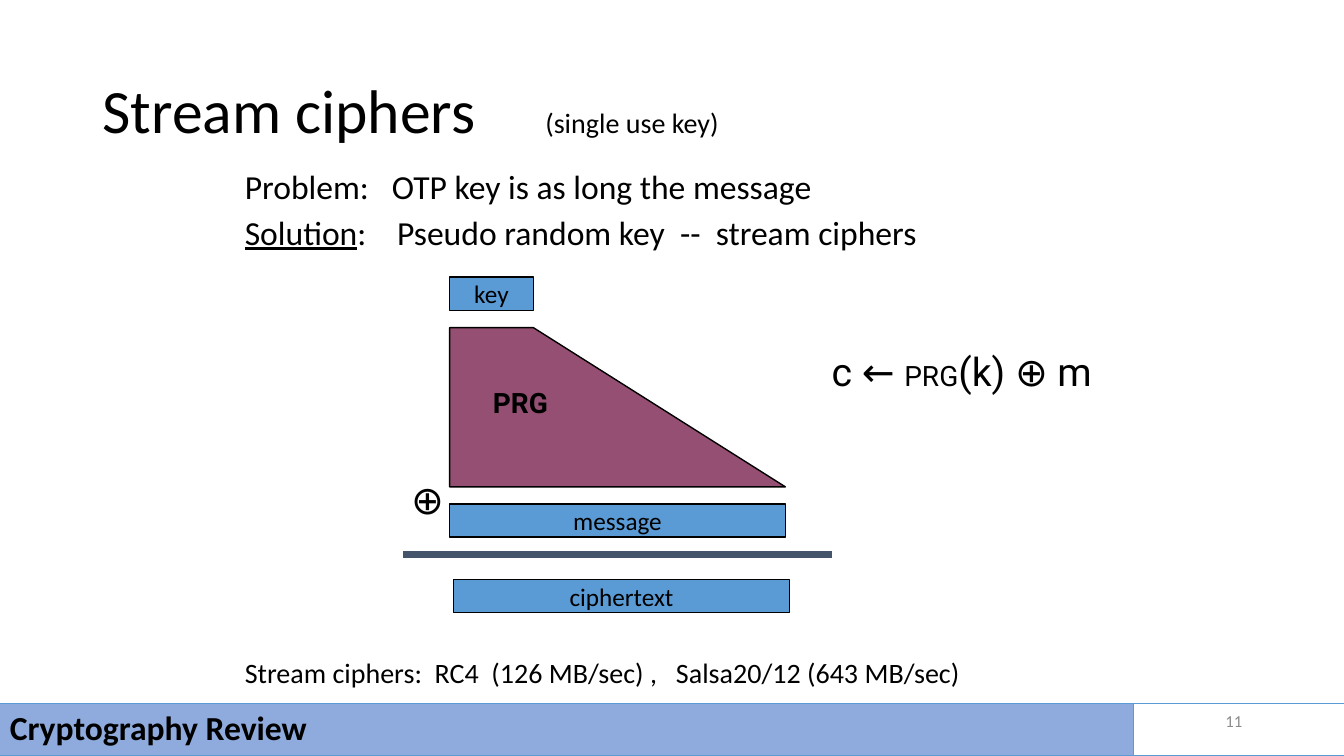
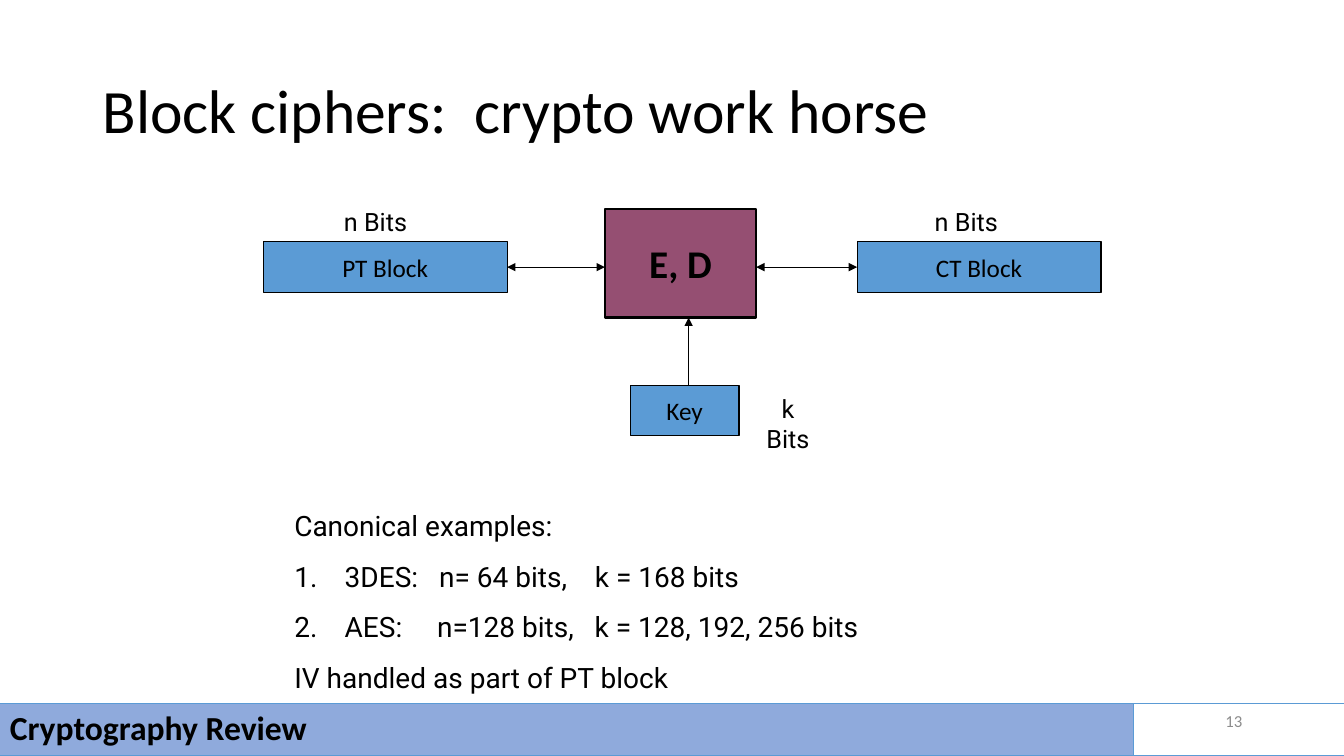
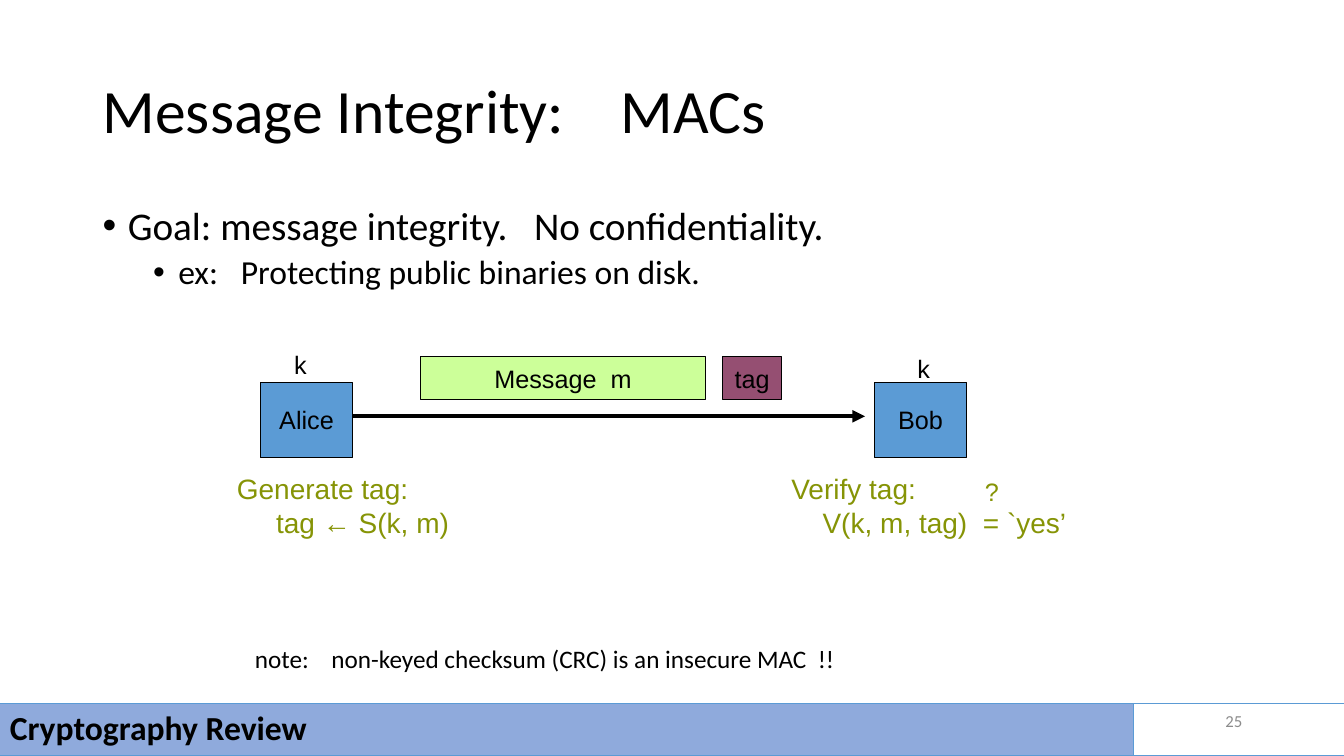
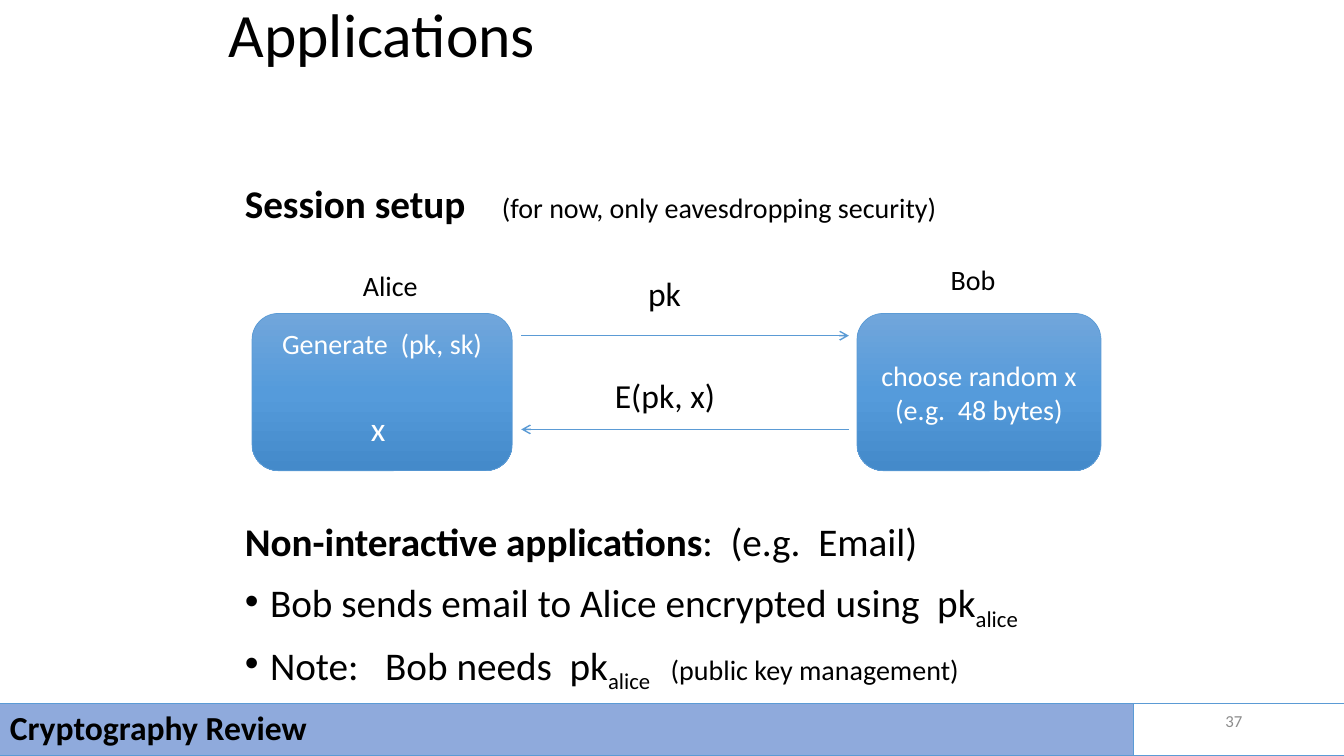
from copy import deepcopy

from lxml.etree import SubElement
from pptx import Presentation
from pptx.dml.color import RGBColor
from pptx.enum.shapes import MSO_CONNECTOR, MSO_SHAPE
from pptx.enum.text import MSO_ANCHOR, MSO_AUTO_SIZE, PP_ALIGN
from pptx.oxml.ns import qn
from pptx.util import Pt

PX = 9144  # EMU in one px, 100 px to the inch
BLACK, WHITE, GREY, SLATE = "000000", "FFFFFF", "8C8C8C", "44546A"
BLUE, PLUM, LIME, OLIVE, BAND = "5B9BD5", "954F72", "CCFF99", "869406", "8FAADC"
SHADES = [(0, "71A6DB"), (0.5, "559BDB"), (1, "448ACA")]
CENTER, RIGHT = PP_ALIGN.CENTER, PP_ALIGN.RIGHT
TITLE_AREA = (92, 40, 1150, 145)
FOOTER = "Cryptography Review"

# Text: one line or a list of lines. A line is a string, a list of spans, or a
# dict with "spans" and paragraph settings. A span is a string or (string, font).
SUBSCRIPT = {"baseline": -25000}
BULLET = {"left": 25, "hang": 25, "bullet": "•"}
NUMBER = {"left": 50, "hang": 50, "spacing": 1.5, "number": "arabicPeriod"}
ROBOTO, ARIAL = {"font": "Roboto"}, {"font": "Arial"}
ARIAL_OLIVE = {"font": "Arial", "size": 20, "color": OLIVE}
THIN = {"line": 0.75}
ROUND = {"shape": MSO_SHAPE.ROUNDED_RECTANGLE, "line": 0.5, "line_color": BLUE,
         "size": 20, "color": WHITE}
BOTH_ENDS = {"head": "triangle", "tail": "triangle"}
OPEN_ARROW = {"color": BLUE, "width": 1, "tail": "arrow"}

SLIDES = [
    {
        "number": 11,
        "title": {"spans": ["Stream ciphers\t", ("(single use key)", {"size": 20})],
                  "tabs": [439]},
        "bodies": [
            ([{"spans": ["Problem:\tOTP key is as long the message"], "tabs": [146]},
              {"spans": [("Solution", {"underline": True}),
                         ":\tPseudo random key  --  stream ciphers"], "tabs": [151]}],
             (233, 167, 894, 90), {"size": 24, "spacing": 0.8, "before": 10}),
            ("Stream ciphers:  RC4  (126 MB/sec) ,   Salsa20/12 (643 MB/sec)",
             (233, 645, 894, 44), {"size": 20}),
        ],
        "outlines": [([(446, 325), (446, 483), (779, 483), (529, 325)], PLUM)],
        "boxes": [
            ("key", (446, 275, 83, 33), BLUE, {}),
            ("message", (446, 500, 333, 33), BLUE, {}),
            ("ciphertext", (450, 575, 333, 33), BLUE, {}),
        ],
        "labels": [
            ("PRG", (479, 378, 89, 44), {**ROBOTO, "size": 20, "bold": True}),
            ("⊕", (398, 467, 51, 57), {**ROBOTO, "size": 28, "align": CENTER}),
            ([["c ← ", ("PRG", {"size": 20}), "(k) ⊕ m"]], (815, 340, 291, 57),
             {**ROBOTO, "size": 28}),
        ],
        "lines": [((400, 550), (825, 550), {"color": SLATE, "width": 4.5})],
    },
    {
        "number": 13,
        "title": "Block ciphers:  crypto work horse",
        "bodies": [
            (["Canonical examples:",
              {"spans": ["3DES:   n= 64 bits,    k = 168 bits"], **NUMBER},
              {"spans": ["AES:     n=128 bits,   k = 128, 192, 256 bits"], **NUMBER},
              {"spans": ["IV handled as part of PT block"], "spacing": 1.5}],
             (282, 500, 618, 195), {**ROBOTO, "size": 20}),
        ],
        "boxes": [
            ("E, D", (600, 207, 150, 108), PLUM, {"line": 1.5, "size": 28, "bold": True}),
            ("PT Block", (261, 240, 242, 50), BLUE, THIN),
            ("CT Block", (850, 240, 242, 50), BLUE, THIN),
            ("Key", (625, 382, 108, 50), BLUE, THIN),
        ],
        "labels": [
            ("n Bits", (331, 200, 83, 40), {**ROBOTO, "align": CENTER}),
            ("n Bits", (917, 200, 83, 40), {**ROBOTO, "align": CENTER}),
            ("k Bits", (741, 385, 81, 70), {**ROBOTO, "align": CENTER, "wrap": True}),
        ],
        "lines": [
            ((503, 265), (600, 265), {**BOTH_ENDS, "begin": ("PT Block", 3)}),
            ((750, 265), (850, 265), {**BOTH_ENDS, "end": ("CT Block", 1)}),
            ((683, 382), (683, 315), {"tail": "triangle"}),
        ],
    },
    {
        "number": 25,
        "title": {"spans": ["Message Integrity:\tMACs"], "tabs": [514]},
        "bodies": [
            ([{"spans": ["Goal: message integrity.   No confidentiality."], **BULLET},
              {"spans": [("ex:   Protecting public binaries on disk.", {"size": 24})],
               **BULLET, "left": 75, "before": 5}],
             (92, 200, 1150, 110), {"size": 28, "spacing": 0.9, "before": 10}),
            (["Generate tag:", {"spans": ["tag ← S(k, m)"], "left": 39}],
             (225, 463, 358, 77), ARIAL_OLIVE),
            (["Verify tag:", {"spans": ["V(k, m, tag)  = `yes’"], "left": 31}],
             (775, 463, 310, 77), ARIAL_OLIVE),
            ({"spans": ["note:\tnon-keyed checksum (CRC) is an insecure MAC  !!"],
              "tabs": [76]}, (243, 633, 640, 40), {}),
        ],
        "boxes": [
            ("Alice", (258, 379, 92, 75), BLUE, {**THIN, **ARIAL}),
            ("Bob", (867, 379, 92, 75), BLUE, {**THIN, **ARIAL}),
            ("Message  m", (417, 354, 283, 42), LIME, {**THIN, **ARIAL}),
            ("tag", (717, 354, 58, 42), PLUM, {**THIN, **ARIAL}),
        ],
        "labels": [
            ("k", (282, 342, 33, 40), ARIAL),
            ("k", (900, 346, 33, 40), ARIAL),
            ("?", (967, 468, 34, 40), {**ARIAL, "color": OLIVE}),
        ],
        "lines": [((350, 413), (858, 413), {"width": 3, "tail": "triangle"})],
    },
    {
        "number": 37,
        "title": "Applications",
        "title_area": (217, -25, 900, 125),
        "bodies": [
            ({"spans": [("Session setup\t", {"bold": True}),
                        ("(for now, only eavesdropping security)", {"size": 20})],
              "tabs": [255]}, (233, 178, 900, 60), {"size": 28, "spacing": 0.9}),
            ([[("Non-interactive applications", {"bold": True}), ":  (e.g.  Email)"],
              {"spans": ["Bob sends email to Alice encrypted using  pk",
                         ("alice", SUBSCRIPT)], **BULLET},
              {"spans": ["Note:   Bob needs  pk", ("alice    ", SUBSCRIPT),
                         ("(public key management)", {"size": 20})], **BULLET}],
             (233, 514, 900, 180), {"size": 28, "spacing": 0.9, "before": 10}),
        ],
        "boxes": [
            ("Generate  (pk, sk)", (250, 311, 258, 156), SHADES,
             {**ROUND, "anchor": MSO_ANCHOR.TOP}),
            (["choose random x", "(e.g.  48 bytes)"], (850, 311, 242, 156), SHADES, ROUND),
        ],
        "labels": [
            ("Alice", (350, 261, 78, 44), {"size": 20}),
            ("Bob", (933, 256, 65, 44), {"size": 20}),
            ("pk", (633, 266, 53, 50), {"size": 24}),
            ("E(pk, x)", (600, 367, 120, 50), {"size": 24}),
            ("x", (358, 400, 35, 50), {"size": 24, "color": WHITE}),
        ],
        "lines": [
            ((517, 333), (842, 333), OPEN_ARROW),
            ((842, 426), (517, 426), OPEN_ARROW),
        ],
    },
]


def rgb(value):
    return RGBColor.from_string(value)


def emu(lengths):
    return [length * PX for length in lengths]


def format_run(run, size=18, color=BLACK, font="Calibri", bold=False,
               underline=None, baseline=None):
    run.font.size, run.font.name = Pt(size), font
    run.font.bold, run.font.underline = bold, underline
    run.font.color.rgb = rgb(color)
    if baseline:
        run.font._element.set("baseline", str(baseline))


def format_layout(para, left=0, hang=0, bullet=None, number=None, tabs=()):
    """Set indents, the bullet or number, and tab stops (px from the text edge)."""
    props = para._p.get_or_add_pPr()
    if left:
        props.set("marL", str(left * PX))
        props.set("indent", str(-hang * PX))
    if bullet:
        SubElement(props, qn("a:buFont"), typeface="Arial")
        SubElement(props, qn("a:buChar"), char=bullet)
    if number:
        SubElement(props, qn("a:buAutoNum"), type=number)
    if tabs:
        stops = SubElement(props, qn("a:tabLst"))
        for tab in tabs:
            SubElement(stops, qn("a:tab"), pos=str(tab * PX), algn="l")


def write(frame, lines, wrap=True, anchor=MSO_ANCHOR.TOP, align=None,
          spacing=None, before=0, **font):
    frame.word_wrap, frame.vertical_anchor = wrap, anchor
    for index, line in enumerate(lines if isinstance(lines, list) else [lines]):
        settings = dict(line) if isinstance(line, dict) else {"spans": line}
        spans = settings.pop("spans")
        para = frame.add_paragraph() if index else frame.paragraphs[0]
        para.alignment = align
        para.line_spacing = settings.pop("spacing", spacing)
        para.space_before = Pt(settings.pop("before", before))
        format_layout(para, **settings)
        for span in [spans] if isinstance(spans, str) else spans:
            text, changes = (span, {}) if isinstance(span, str) else span
            run = para.add_run()
            run.text = text
            format_run(run, **{**font, **changes})


def add_text(page, lines, area, **style):
    box = page.shapes.add_textbox(*emu(area))
    write(box.text_frame, lines, **style)
    return box


def add_label(page, lines, area, **style):
    box = add_text(page, lines, area, **{"wrap": False, **style})
    box.text_frame.auto_size = MSO_AUTO_SIZE.SHAPE_TO_FIT_TEXT


def paint(shape, fill, line, line_color):
    """Fill with one colour, with a list of gradient stops, or not at all."""
    shape.shadow.inherit = False
    if fill is None:
        shape.fill.background()
    elif isinstance(fill, str):
        shape.fill.solid()
        shape.fill.fore_color.rgb = rgb(fill)
    else:
        shape.fill.gradient()
        shape.fill.gradient_angle = 270
        stop_list = shape._element.spPr.find(qn("a:gradFill")).find(qn("a:gsLst"))
        while len(stop_list) < len(fill):
            stop_list.append(deepcopy(stop_list[0]))
        for stop, (position, color) in zip(shape.fill.gradient_stops, fill):
            stop.position = position
            stop.color.rgb = rgb(color)
    shape.line.color.rgb = rgb(line_color)
    shape.line.width = Pt(line)


def add_box(page, lines, area, fill, shape=MSO_SHAPE.RECTANGLE, line=1,
            line_color=BLACK, **style):
    box = page.shapes.add_shape(shape, *emu(area))
    paint(box, fill, line, line_color)
    if lines:
        write(box.text_frame, lines,
              **{"wrap": False, "anchor": MSO_ANCHOR.MIDDLE, "align": CENTER, **style})
    return box


def add_outline(page, points, fill):
    builder = page.shapes.build_freeform(*points[0], scale=PX)
    builder.add_line_segments(points[1:], close=True)
    paint(builder.convert_to_shape(), fill, 1, BLACK)


def add_line(page, start, stop, boxes, color=BLACK, width=0.75, head=None,
             tail=None, begin=None, end=None):
    """Draw a line; begin and end name a box and the side to join."""
    line = page.shapes.add_connector(MSO_CONNECTOR.STRAIGHT, *emu(start + stop))
    if begin:
        line.begin_connect(boxes[begin[0]], begin[1])
    if end:
        line.end_connect(boxes[end[0]], end[1])
    line.line.color.rgb = rgb(color)
    line.line.width = Pt(width)
    for tag, kind in (("a:headEnd", head), ("a:tailEnd", tail)):
        if kind:
            SubElement(line.line._get_or_add_ln(), qn(tag), type=kind)
    SubElement(line._element.spPr, qn("a:effectLst"))


def add_footer(page, number):
    add_box(page, FOOTER, (0, 698, 1124, 52), BAND, line=0.75, line_color=BLUE,
            wrap=True, align=PP_ALIGN.LEFT, spacing=0.9, size=24, bold=True)
    add_box(page, None, (1124, 698, 210, 52), None, line=0.75, line_color=BLUE)
    add_text(page, str(number), (942, 695, 300, 40), anchor=MSO_ANCHOR.MIDDLE,
             align=RIGHT, size=12, color=GREY)


def add_page(deck, content):
    page = deck.slides.add_slide(deck.slide_layouts[6])
    add_text(page, content["title"], content.get("title_area", TITLE_AREA),
             anchor=MSO_ANCHOR.MIDDLE, spacing=0.9, size=44)
    for lines, area, style in content["bodies"]:
        add_text(page, lines, area, **style)
    for points, fill in content.get("outlines", []):
        add_outline(page, points, fill)
    boxes = {}
    for lines, area, fill, style in content["boxes"]:
        boxes[str(lines)] = add_box(page, lines, area, fill, **style)
    for lines, area, style in content["labels"]:
        add_label(page, lines, area, **style)
    for start, stop, style in content["lines"]:
        add_line(page, start, stop, boxes, **style)
    add_footer(page, content["number"])


def main():
    deck = Presentation()
    deck.slide_width, deck.slide_height = emu((1333, 750))
    for content in SLIDES:
        add_page(deck, content)
    deck.save("out.pptx")


if __name__ == "__main__":
    main()
